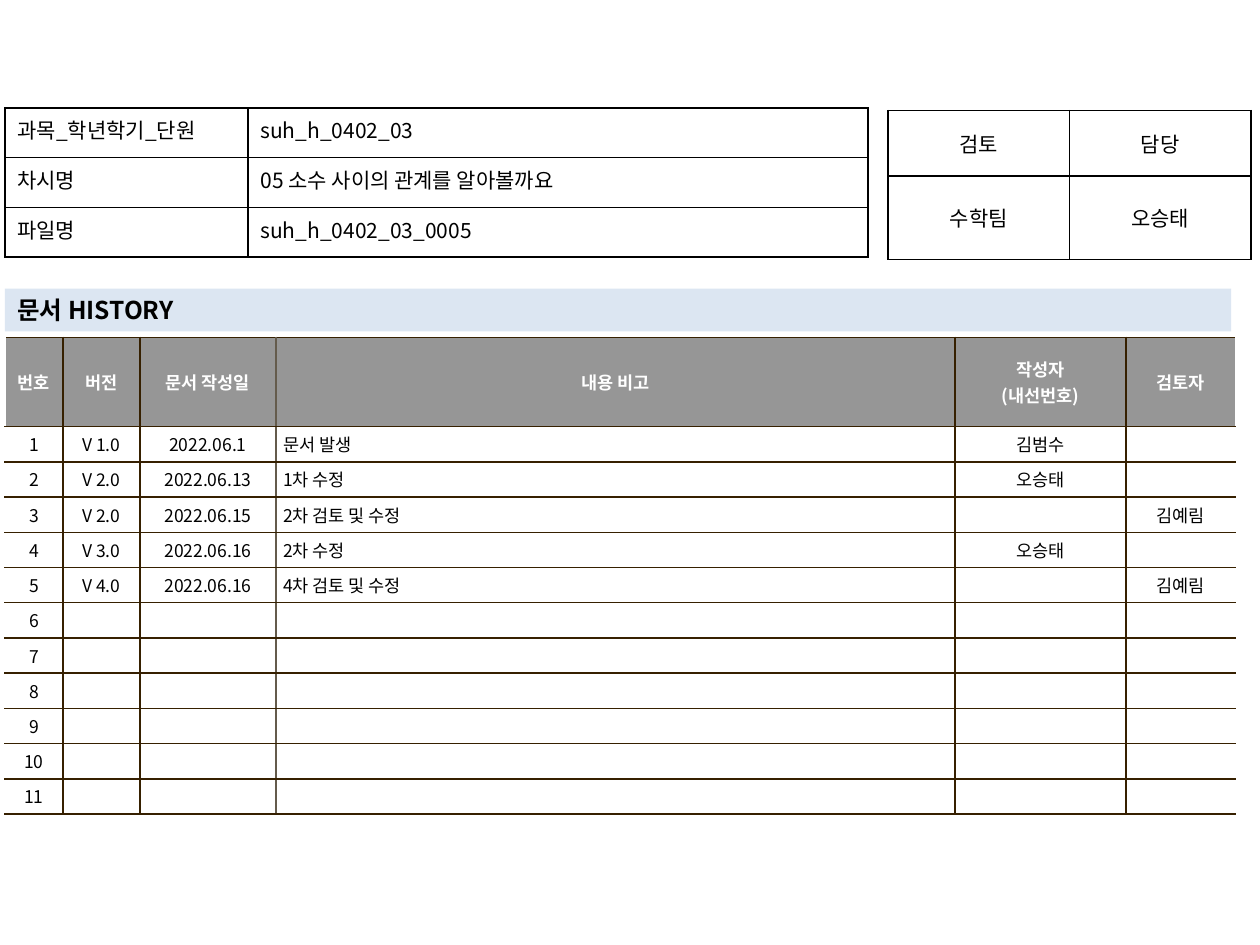
import pptx
import pptx.dml.color
import pptx.enum.shapes
import pptx.enum.text
import pptx.oxml
import pptx.oxml.ns
import pptx.util
from lxml import etree

Cm, Pt = pptx.util.Cm, pptx.util.Pt
Align = pptx.enum.text.PP_ALIGN
Anchor = pptx.enum.text.MSO_ANCHOR
qn = pptx.oxml.ns.qn

BLACK, WHITE, BROWN, TAUPE = "000000", "FFFFFF", "362000", "645B4C"
GRAY, PALE_BLUE = "969696", "DCE6F2"


def color(value):
    return pptx.dml.color.RGBColor.from_string(value)


class Sheet:
    font = "Noto Sans CJK KR"

    def __init__(self, page):
        self.page = page

    def style(self, frame, size, ink=BLACK, bold=False, align=Align.LEFT):
        for para in frame.paragraphs:
            para.alignment = align
            for span in para.runs:
                span.font.size, span.font.bold = Pt(size), bold
                span.font.name = self.font
                span.font.color.rgb = color(ink)
                east_asian = etree.SubElement(span.font._element, qn("a:ea"))
                east_asian.set("typeface", self.font)
            if not para.runs:
                # An empty cell would otherwise take the 18 pt default height.
                end = etree.SubElement(para._p, qn("a:endParaRPr"))
                end.set("sz", str(size * 100))

    def borders(self, cell, sides):
        """Draw 1 pt borders; sides maps L, R, T, B (in this order) to colours."""
        properties = cell._tc.get_or_add_tcPr()
        for index, (side, value) in enumerate(sides.items()):
            line = etree.Element(qn("a:ln" + side), w=str(Pt(1)))
            fill = etree.SubElement(line, qn("a:solidFill"))
            etree.SubElement(fill, qn("a:srgbClr"), val=value)
            properties.insert(index, line)

    def table(self, left, top, widths, heights, rows, format_cell, margins):
        """Add a table; format_cell(cell, row, column) styles each filled-in cell."""
        frame = self.page.shapes.add_table(
            len(heights), len(widths), Cm(left), Cm(top), Cm(sum(widths)), Cm(sum(heights)))
        table = frame.table
        table.first_row = table.horz_banding = False
        for column, width in zip(table.columns, widths):
            column.width = Cm(width)
        for row, height in zip(table.rows, heights):
            row.height = Cm(height)
        side, edge = margins
        for r, texts in enumerate(rows):
            for c, text in enumerate(texts):
                cell = table.cell(r, c)
                cell.text_frame.text = text
                cell.margin_left = cell.margin_right = Cm(side)
                cell.margin_top = cell.margin_bottom = Cm(edge)
                format_cell(cell, r, c)

    def banner(self, left, top, width, height, text):
        box = self.page.shapes.add_shape(
            pptx.enum.shapes.MSO_SHAPE.RECTANGLE, Cm(left), Cm(top), Cm(width), Cm(height))
        box.shadow.inherit = False
        box.fill.solid()
        box.fill.fore_color.rgb = color(PALE_BLUE)
        box.line.fill.background()
        box.text_frame.text = text
        box.text_frame.vertical_anchor = Anchor.MIDDLE
        self.style(box.text_frame, 14, bold=True)

    def history_cell(self, cell, row, column):
        header = row == 0
        cell.vertical_anchor = Anchor.MIDDLE
        cell.fill.solid()
        cell.fill.fore_color.rgb = color(GRAY if header else WHITE)
        note = column == 3 and not header
        self.style(cell.text_frame, 10, WHITE if header else BLACK, header,
                   Align.LEFT if note else Align.CENTER)
        sides = {}
        if column > 0:
            sides["L"] = TAUPE if column == 3 else BROWN
        if column < 5:
            sides["R"] = TAUPE if column == 2 else BROWN
        self.borders(cell, {**sides, "T": BROWN, "B": BROWN})

    def boxed_cell(self, cell, align, anchor):
        cell.fill.background()
        cell.vertical_anchor = anchor
        self.style(cell.text_frame, 12, align=align)
        self.borders(cell, dict.fromkeys("LRTB", BLACK))

    def review_cell(self, cell, row, column):
        self.boxed_cell(cell, Align.CENTER, Anchor.MIDDLE)

    def info_cell(self, cell, row, column):
        self.boxed_cell(cell, Align.LEFT if column else Align.JUSTIFY, Anchor.TOP)


HISTORY_HEADER = ["번호", "버전", "문서 작성일", "내용 비고", "작성자\n(내선번호)", "검토자"]
REVISIONS = [
    ["V 1.0", "2022.06.1", "문서 발생", "김범수", ""],
    ["V 2.0", "2022.06.13", "1차 수정", "오승태", ""],
    ["V 2.0", "2022.06.15", "2차 검토 및 수정", "", "김예림"],
    ["V 3.0", "2022.06.16", "2차 수정", "오승태", ""],
    ["V 4.0", "2022.06.16", "4차 검토 및 수정", "", "김예림"],
]
HISTORY_LENGTH = 11
REVIEW = [["검토", "담당"], ["수학팀", "오승태"]]
INFO = [
    ["과목_학년학기_단원", "suh_h_0402_03"],
    ["차시명", "05 소수 사이의 관계를 알아볼까요"],
    ["파일명", "suh_h_0402_03_0005"],
]


def main():
    deck = pptx.Presentation()
    deck.slide_width, deck.slide_height = Cm(25.4), Cm(19.05)
    sheet = Sheet(deck.slides.add_slide(deck.slide_layouts[6]))

    entries = REVISIONS + [[""] * 5] * (HISTORY_LENGTH - len(REVISIONS))
    history = [HISTORY_HEADER] + [[str(n), *entry] for n, entry in enumerate(entries, 1)]
    sheet.table(0.1, 6.8, [1.17, 1.55, 2.74, 13.69, 3.45, 2.21],
                [1.8] + [0.71] * HISTORY_LENGTH, history, sheet.history_cell, (0.15, 0.1))
    sheet.table(17.9, 2.23, [3.66] * 2, [1.32, 1.68], REVIEW, sheet.review_cell, (0.25, 0.13))
    sheet.banner(0.1, 5.82, 24.72, 0.86, "문서 HISTORY")
    sheet.table(0.1, 2.18, [4.9, 12.5], [1] * 3, INFO, sheet.info_cell, (0.25, 0.13))
    deck.save("out.pptx")


if __name__ == "__main__":
    main()
